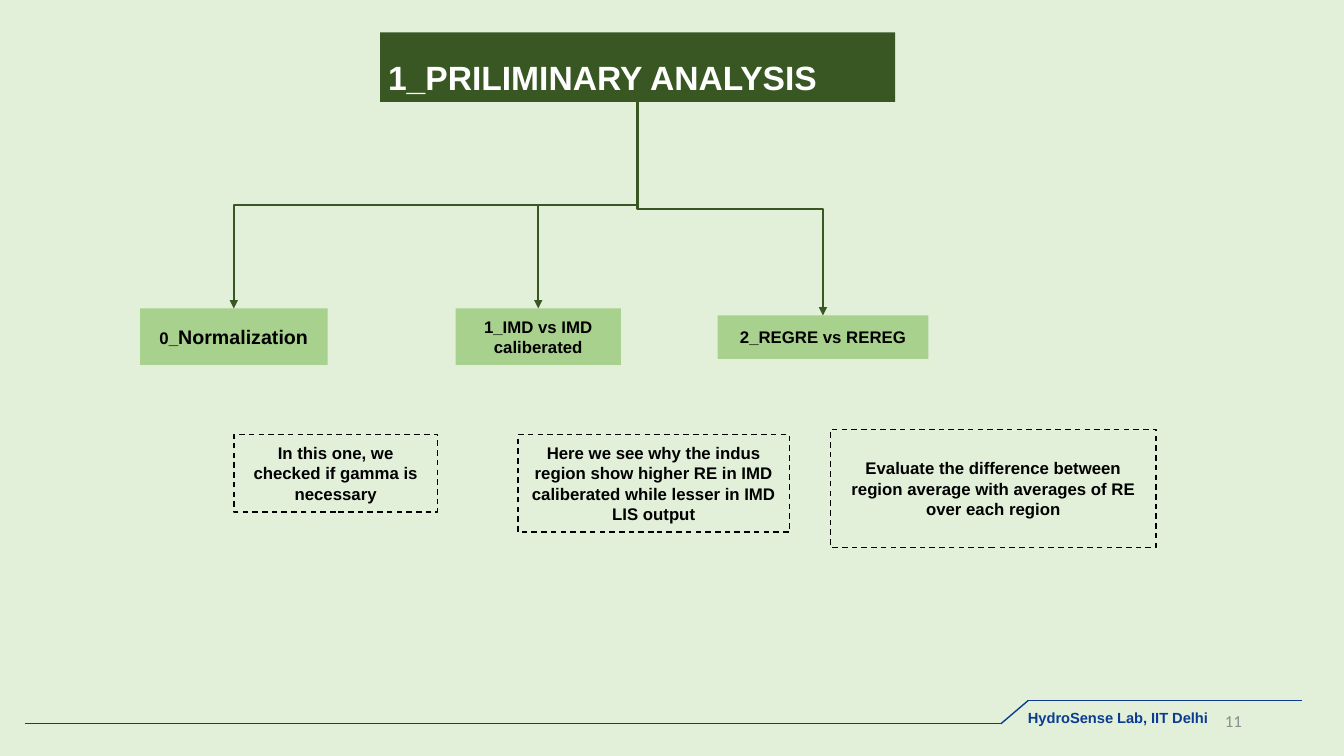
import pptx
import pptx.dml.color
import pptx.enum.dml
import pptx.enum.shapes
import pptx.enum.text
import pptx.oxml.ns
import pptx.util
from lxml import etree

Pt = pptx.util.Pt
ALIGN = pptx.enum.text.PP_ALIGN
ANCHOR = pptx.enum.text.MSO_ANCHOR
CONNECTOR = pptx.enum.shapes.MSO_CONNECTOR
qn = pptx.oxml.ns.qn

PALE, LEAF, FOREST, NAVY = "E2F0D9", "A9D18E", "385723", "0B3C91"
BLACK, WHITE, GREY = "000000", "FFFFFF", "8C8C8C"
BOTTOM, TOP = 2, 0

# Branch boxes: left, top, width, height, runs as (text, size)
BRANCHES = [
    ((100.08, 220.32, 133.92, 40.32), [("0_", 12), ("Normalization", 14)]),
    ((325.44, 220.32, 118.08, 40.32), [("1_IMD vs IMD caliberated", 12)]),
    ((512.64, 225.36, 150.48, 30.96), [("2_REGRE vs REREG", 12)]),
]
NOTES = [
    ((167.04, 310.32, 145.44, 55.44), "In this one, we checked if gamma is necessary"),
    ((370.08, 310.32, 193.68, 69.84),
     "Here we see why the indus region show higher RE in IMD caliberated "
     "while lesser in IMD LIS output"),
    ((593.28, 306.72, 232.56, 84.24),
     "Evaluate the difference between region average with averages of RE over each region"),
]
FOOTER_RULE = [(18, 516.96), (714.96, 516.96), (734.4, 500.4), (930.24, 500.4)]


def rgb(hex_code):
    return pptx.dml.color.RGBColor.from_string(hex_code)


def write(shape, runs, color, align=ALIGN.CENTER, anchor=ANCHOR.MIDDLE,
          font="Arial", bold=True, wrap=True):
    """Fill the first paragraph with runs given as (text, size)."""
    frame = shape.text_frame
    frame.word_wrap = wrap
    frame.vertical_anchor = anchor
    paragraph = frame.paragraphs[0]
    paragraph.alignment = align
    for text, size in runs:
        run = paragraph.add_run()
        run.text = text
        run.font.name = font
        run.font.size = Pt(size)
        run.font.bold = bold
        run.font.color.rgb = rgb(color)
    return frame


def add_box(slide, place, fill=None):
    """Add a filled rectangle, or a dashed outline when no fill is given."""
    box = slide.shapes.add_shape(pptx.enum.shapes.MSO_SHAPE.RECTANGLE, *map(Pt, place))
    box.shadow.inherit = False
    if fill:
        box.fill.solid()
        box.fill.fore_color.rgb = rgb(fill)
        box.line.fill.background()
    else:
        box.fill.background()
        box.line.color.rgb = rgb(BLACK)
        box.line.width = Pt(1)
        box.line.dash_style = pptx.enum.dml.MSO_LINE.DASH
    return box


def add_title(slide):
    title = add_box(slide, (271.44, 23.04, 367.92, 49.68), FOREST)
    frame = write(title, [("1_PRILIMINARY ANALYSIS", 24)], WHITE, ALIGN.LEFT)
    frame.margin_left = frame.margin_right = Pt(5.76)
    frame.margin_top = frame.margin_bottom = Pt(5.76)
    frame.paragraphs[0].line_spacing = 1.5
    frame.auto_size = pptx.enum.text.MSO_AUTO_SIZE.SHAPE_TO_FIT_TEXT
    return title


def add_line(shapes, kind, start, end, color, width):
    line = shapes.add_connector(kind, *start, *end)
    line.line.color.rgb = rgb(color)
    line.line.width = Pt(width)
    etree.SubElement(line._element.spPr, qn("a:effectLst"))
    return line


def add_branch_arrow(slide, parent, child):
    """Join parent's bottom to child's top, turned so that it leaves downwards."""
    start_x, start_y = parent.left + parent.width // 2, parent.top + parent.height
    end_x, end_y = child.left + child.width // 2, child.top
    arrow = add_line(slide.shapes, CONNECTOR.ELBOW, (start_x, start_y), (end_x, end_y),
                     FOREST, 1.5)
    arrow.begin_connect(parent, BOTTOM)
    arrow.end_connect(child, TOP)

    drop, reach = end_y - start_y, abs(end_x - start_x)
    goes_right = end_x > start_x
    arrow.left = (start_x + end_x - drop) // 2
    arrow.top = (start_y + end_y - reach) // 2
    arrow.width, arrow.height = drop, reach
    turn = arrow._element.spPr.find(qn("a:xfrm"))
    turn.rot = 270 if goes_right else 90
    turn.flipH, turn.flipV = goes_right, False
    etree.SubElement(arrow.line._get_or_add_ln(), qn("a:tailEnd"), type="triangle")


def add_label(slide, place, text, size, color, **style):
    label = slide.shapes.add_textbox(*map(Pt, place))
    return write(label, [(text, size)], color, **style)


def add_footer(slide):
    rule = slide.shapes.add_group_shape()
    for start, end in zip(FOOTER_RULE, FOOTER_RULE[1:]):
        add_line(rule.shapes, CONNECTOR.STRAIGHT, map(Pt, start), map(Pt, end), NAVY, 1)
    lab = add_label(slide, (727.2, 502.56, 144.72, 20.16), "HydroSense Lab, IIT Delhi",
                    10.5, NAVY, align=ALIGN.LEFT, anchor=ANCHOR.TOP, wrap=False)
    lab.auto_size = pptx.enum.text.MSO_AUTO_SIZE.SHAPE_TO_FIT_TEXT
    add_label(slide, (678.24, 500.4, 216, 28.8), "11", 12, GREY,
              align=ALIGN.RIGHT, font="Calibri", bold=False)


def main():
    deck = pptx.Presentation()
    deck.slide_width, deck.slide_height = Pt(960), Pt(540)
    slide = deck.slides.add_slide(deck.slide_layouts[6])
    slide.background.fill.solid()
    slide.background.fill.fore_color.rgb = rgb(PALE)

    title = add_title(slide)
    for place, runs in BRANCHES:
        branch = add_box(slide, place, LEAF)
        write(branch, runs, BLACK)
        add_branch_arrow(slide, title, branch)
    for place, text in NOTES:
        write(add_box(slide, place), [(text, 12)], BLACK)
    add_footer(slide)
    deck.save("out.pptx")


if __name__ == "__main__":
    main()
